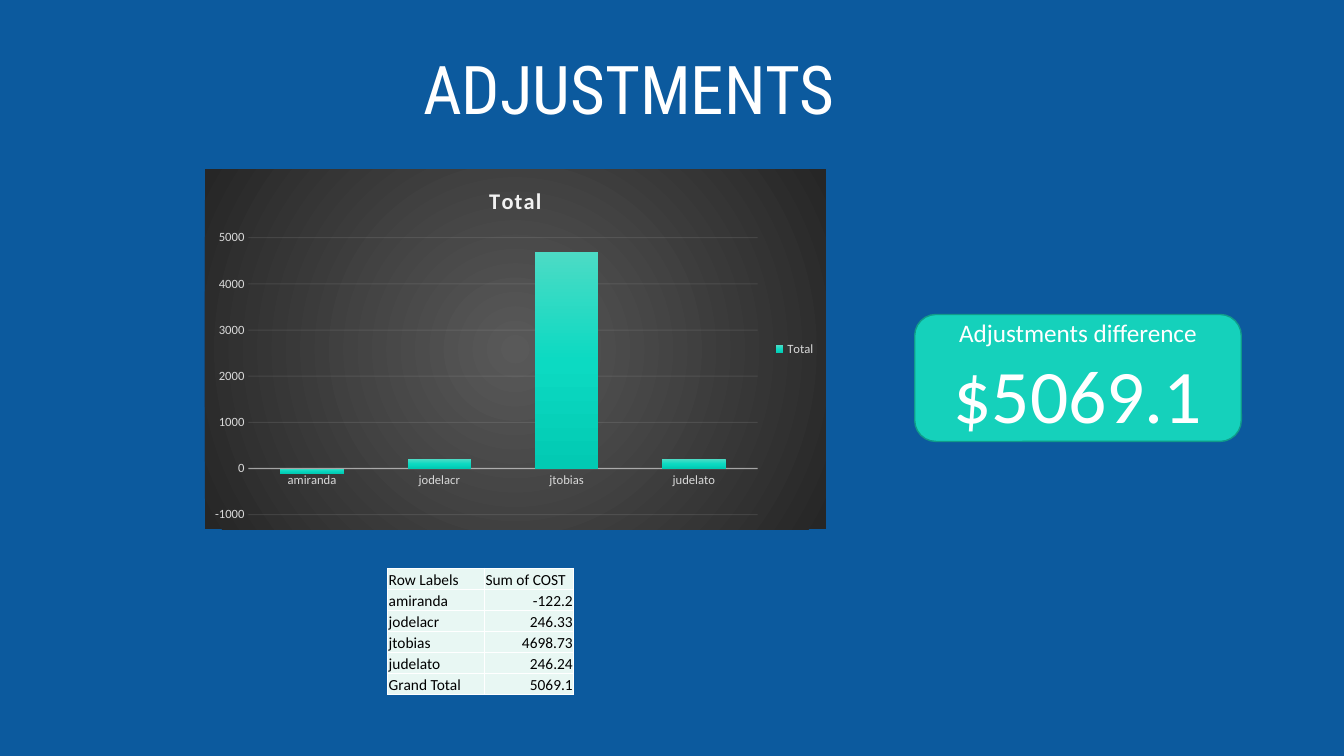
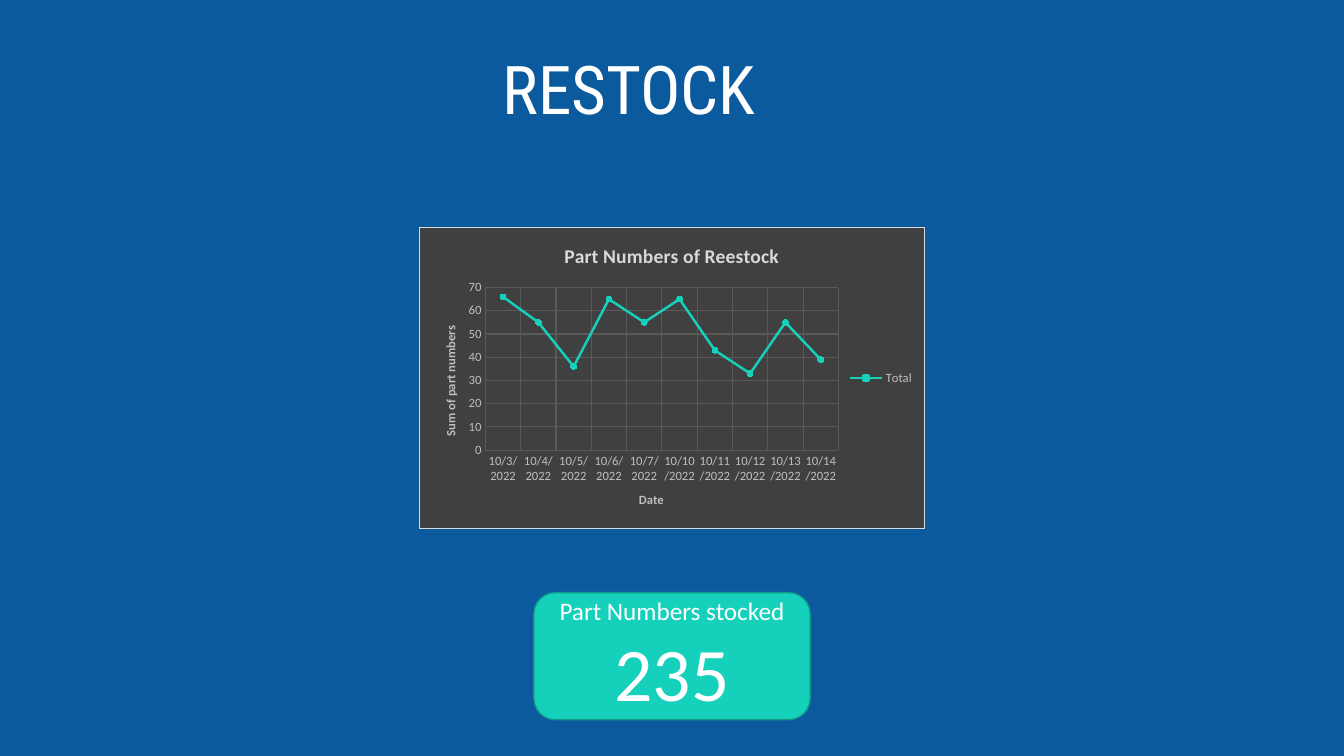
import lxml.etree
import pptx
import pptx.chart.data
import pptx.dml.color
import pptx.enum.chart
import pptx.enum.shapes
import pptx.enum.text
import pptx.oxml
import pptx.oxml.ns
import pptx.util

Pt = pptx.util.Pt
RGBColor = pptx.dml.color.RGBColor
Align = pptx.enum.text.PP_ALIGN
Anchor = pptx.enum.text.MSO_ANCHOR
ChartType = pptx.enum.chart.XL_CHART_TYPE
qn = pptx.oxml.ns.qn

BLUE = RGBColor(0x0C, 0x5A, 0x9E)
TEAL = RGBColor(0x15, 0xD1, 0xBB)
DARK_TEAL = RGBColor(0x10, 0x9B, 0x8A)
MINT = RGBColor(0xE8, 0xF7, 0xF3)
WHITE = RGBColor(0xFF, 0xFF, 0xFF)
BLACK = RGBColor(0x00, 0x00, 0x00)
PALE = RGBColor(0xF2, 0xF2, 0xF2)
LIGHT_GRAY = RGBColor(0xD9, 0xD9, 0xD9)
GRAY = RGBColor(0xBF, 0xBF, 0xBF)
GRID_GRAY = RGBColor(0x59, 0x59, 0x59)

TITLE_FONT = "Roboto Condensed"
BODY_FONT = "Calibri"
NAMESPACES = pptx.oxml.ns.nsdecls("a", "c")

BAR_GRADIENT = f"""<a:gradFill {NAMESPACES} rotWithShape="1"><a:gsLst>
<a:gs pos="0"><a:srgbClr val="4CDBC5"/></a:gs>
<a:gs pos="50000"><a:srgbClr val="0CDAC2"/></a:gs>
<a:gs pos="100000"><a:srgbClr val="02CAB3"/></a:gs>
</a:gsLst><a:lin ang="5400000" scaled="0"/></a:gradFill>"""
RADIAL_AREA = f"""<c:spPr {NAMESPACES}><a:gradFill><a:gsLst>
<a:gs pos="0"><a:srgbClr val="595959"/></a:gs>
<a:gs pos="100000"><a:srgbClr val="262626"/></a:gs></a:gsLst>
<a:path path="circle"><a:fillToRect l="50000" t="50000" r="50000" b="50000"/></a:path>
</a:gradFill><a:ln><a:noFill/></a:ln></c:spPr>"""
FRAMED_AREA = f"""<c:spPr {NAMESPACES}>
<a:solidFill><a:srgbClr val="404040"/></a:solidFill>
<a:ln w="9525"><a:solidFill><a:srgbClr val="D9D9D9"/></a:solidFill></a:ln></c:spPr>"""


def write(text_frame, text, size, color, font=BODY_FONT, bold=False,
          align=Align.CENTER, spacing=None, letter_spacing=None, new_paragraph=False):
    paragraph = text_frame.add_paragraph() if new_paragraph else text_frame.paragraphs[0]
    paragraph.alignment = align
    if spacing:
        paragraph.line_spacing = spacing
    run = paragraph.add_run()
    run.text = text
    run.font.size = Pt(size)
    run.font.name = font
    run.font.bold = bold
    run.font.color.rgb = color
    if letter_spacing:
        run._r.get_or_add_rPr().set("spc", str(letter_spacing * 100))


def set_layout(parent, **shares):
    """Fix a chart part at shares of the chart's size; a width means the inner plot area."""
    layout = parent.find(qn("c:layout"))
    if layout is None:
        layout = parent.makeelement(qn("c:layout"))
        parent.insert(0, layout)
    manual = lxml.etree.SubElement(layout, qn("c:manualLayout"))
    if "w" in shares:
        lxml.etree.SubElement(manual, qn("c:layoutTarget"), val="inner")
    for axis_name in "xy":
        lxml.etree.SubElement(manual, qn(f"c:{axis_name}Mode"), val="edge")
    for name, share in shares.items():
        lxml.etree.SubElement(manual, qn(f"c:{name}"), val=str(share))


presentation = pptx.Presentation()
presentation.slide_width = pptx.util.Inches(13.33)
presentation.slide_height = pptx.util.Inches(7.5)
background = presentation.slide_master.background.fill
background.solid()
background.fore_color.rgb = BLUE

# Frames are left, top, width and height on a grid of 100 columns by 100 rows.
COLUMN = presentation.slide_width / 100
ROW = presentation.slide_height / 100
frames = {
    name: [round(count * unit) for count, unit in zip(cells, (COLUMN, ROW) * 2)]
    for name, cells in {
        "title": (17.4, 4.8, 58.8, 12.9),
        "adjustments callout": (68.06, 41.6, 24.3, 16.8),
        "adjustments chart": (15.25, 22.4, 46.2, 47.6),
        "cost table": (28.85, 75.2, 13.85, 16.7),
        "restock callout": (39.73, 78.4, 20.55, 16.8),
        "restock chart": (31.2, 30, 37.6, 40),
    }.items()
}

costs = {"amiranda": -122.2, "jodelacr": 246.33, "jtobias": 4698.73, "judelato": 246.24}
cost_bars = {user: round(cost, -2) for user, cost in costs.items()}
parts = dict(zip((f"10/{day}/2022" for day in (3, 4, 5, 6, 7, 10, 11, 12, 13, 14)),
                 (66, 55, 36, 65, 55, 65, 43, 33, 55, 39)))

slides, charts = {}, {}
for name, label, figure, chart_type, values, area, label_color, value_range in (
    ("adjustments", "Adjustments difference", "$5069.1", ChartType.COLUMN_CLUSTERED,
     cost_bars, RADIAL_AREA, LIGHT_GRAY, (-1000, 5000, 1000)),
    ("restock", "Part Numbers stocked", "235", ChartType.LINE_MARKERS,
     parts, FRAMED_AREA, GRAY, (0, 70, 10)),
):
    slide = slides[name] = presentation.slides.add_slide(presentation.slide_layouts[5])
    title = slide.shapes.title
    title.left, title.top, title.width, title.height = frames["title"]
    title.text_frame.margin_left = title.text_frame.margin_right = 0
    title.text_frame.vertical_anchor = Anchor.BOTTOM
    write(title.text_frame, name.upper(), size=48, color=WHITE, font=TITLE_FONT, spacing=0.9)

    callout = slide.shapes.add_shape(
        pptx.enum.shapes.MSO_SHAPE.ROUNDED_RECTANGLE, *frames[f"{name} callout"])
    callout.shadow.inherit = False
    callout.fill.solid()
    callout.fill.fore_color.rgb = TEAL
    callout.line.color.rgb = DARK_TEAL
    callout.line.width = Pt(1)
    callout.text_frame.vertical_anchor = Anchor.MIDDLE
    write(callout.text_frame, label, size=18, color=WHITE)
    write(callout.text_frame, figure, size=54, color=WHITE, new_paragraph=True)

    chart_data = pptx.chart.data.CategoryChartData()
    chart_data.categories = list(values)
    chart_data.add_series("Total", list(values.values()))
    chart = charts[name] = slide.shapes.add_chart(
        chart_type, *frames[f"{name} chart"], chart_data).chart
    chart.font.name = BODY_FONT
    chart.font.size = Pt(10)
    chart.plots[0].vary_by_categories = False
    chart._chartSpace.find(qn("c:chart")).addnext(pptx.oxml.parse_xml(area))
    chart.has_title = True
    chart.has_legend = True
    chart.legend.position = pptx.enum.chart.XL_LEGEND_POSITION.RIGHT
    chart.legend.include_in_layout = False
    axes = (chart.category_axis, chart.value_axis)
    for font in (chart.legend.font, *(axis.tick_labels.font for axis in axes)):
        font.name = BODY_FONT
        font.size = Pt(9)
        font.color.rgb = label_color
    for axis in axes:
        axis.major_tick_mark = pptx.enum.chart.XL_TICK_MARK.NONE
        axis.format.line.fill.background()
    value_axis = chart.value_axis
    value_axis.minimum_scale, value_axis.maximum_scale, value_axis.major_unit = value_range

# Adjustments: column chart and cost table
chart = charts["adjustments"]
write(chart.chart_title.text_frame, "Total", size=16, color=PALE, bold=True, letter_spacing=1)
set_layout(chart._chartSpace.find(".//" + qn("c:plotArea")), x=0.07, y=0.19, w=0.82, h=0.77)
chart.plots[0].gap_width = 100
chart.plots[0].overlap = -24
bars = chart.plots[0].series[0]
bars.invert_if_negative = False
bars._element.get_or_add_spPr().insert(0, pptx.oxml.parse_xml(BAR_GRADIENT))
for line, width, opacity in (
    (chart.category_axis.format.line, 1, 54),
    (chart.value_axis.major_gridlines.format.line, 0.75, 10),
):
    line.color.rgb = PALE
    line.width = Pt(width)
    for color in line._get_or_add_ln().iter(qn("a:srgbClr")):
        lxml.etree.SubElement(color, qn("a:alpha"), val=str(opacity * 1000))

rows = [("Row Labels", "Sum of COST"), *costs.items(),
        ("Grand Total", round(sum(costs.values()), 2))]
left, top, width, height = frames["cost table"]
table = slides["adjustments"].shapes.add_table(len(rows), 2, left, top, width, height).table
table.first_row = table.horz_banding = False
table.columns[0].width = round(width * 0.52)
table.columns[1].width = width - table.columns[0].width
for row_index, row in enumerate(rows):
    table.rows[row_index].height = height // len(rows)
    for column_index, value in enumerate(row):
        cell = table.cell(row_index, column_index)
        cell.margin_left = cell.margin_right = cell.margin_top = pptx.util.Inches(0.01)
        cell.margin_bottom = 0
        cell.vertical_anchor = Anchor.BOTTOM
        is_number = row_index > 0 and column_index == 1
        write(cell.text_frame, str(value), size=11, color=BLACK,
              align=Align.RIGHT if is_number else Align.LEFT)
        for side in "LRTB":
            border = lxml.etree.SubElement(
                cell._tc.get_or_add_tcPr(), qn(f"a:ln{side}"), w=str(Pt(1)))
            border_fill = lxml.etree.SubElement(border, qn("a:solidFill"))
            lxml.etree.SubElement(border_fill, qn("a:srgbClr"), val=str(WHITE))
        cell.fill.solid()
        cell.fill.fore_color.rgb = MINT

# Restock: line chart
chart = charts["restock"]
write(chart.chart_title.text_frame, "Part Numbers of Reestock", size=14,
      color=LIGHT_GRAY, bold=True)
set_layout(chart._chartSpace.find(".//" + qn("c:plotArea")), x=0.13, y=0.2, w=0.7, h=0.54)
for axis, axis_label, x, y, rotation in (
    (chart.category_axis, "Date", 0.43, 0.87, 0),
    (chart.value_axis, "Sum of part numbers", 0.04, 0.32, -90),
):
    axis.has_major_gridlines = True
    axis.major_gridlines.format.line.color.rgb = GRID_GRAY
    axis.major_gridlines.format.line.width = Pt(0.75)
    write(axis.axis_title.text_frame, axis_label, size=9, color=GRAY, bold=True)
    axis_title = axis.axis_title._element
    axis_title.find(".//" + qn("a:bodyPr")).set("rot", str(rotation * 60000))
    set_layout(axis_title, x=x, y=y)
trend = chart.plots[0].series[0]
trend.smooth = False
trend.format.line.color.rgb = TEAL
trend.format.line.width = Pt(1.75)
trend.marker.style = pptx.enum.chart.XL_MARKER_STYLE.CIRCLE
trend.marker.size = 4
trend.marker.format.fill.solid()
trend.marker.format.fill.fore_color.rgb = TEAL
trend.marker.format.line.color.rgb = TEAL

presentation.save("out.pptx")
